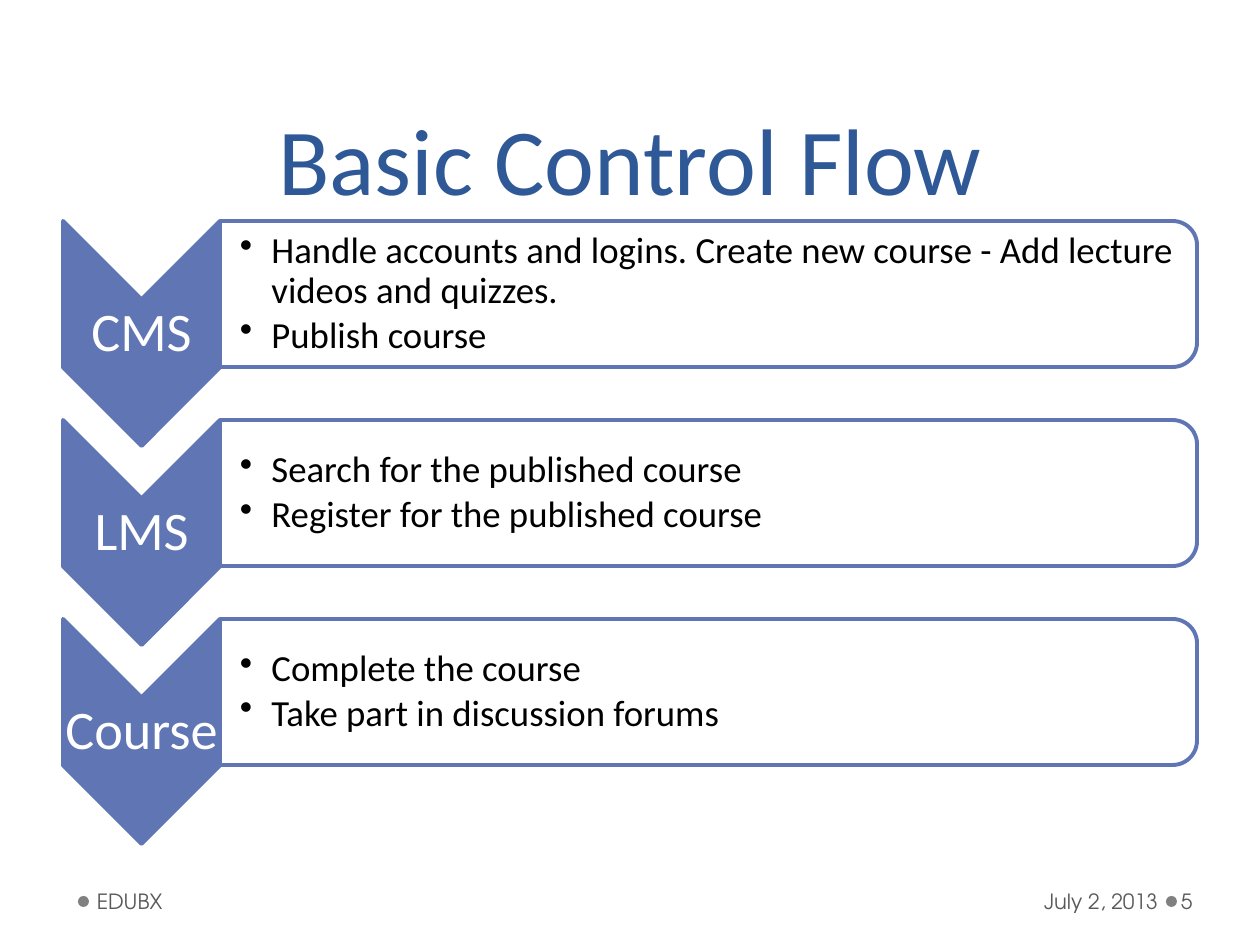
from dataclasses import dataclass
from lxml import etree
from pptx import Presentation
from pptx.dml.color import RGBColor
from pptx.enum.shapes import MSO_SHAPE
from pptx.enum.text import MSO_ANCHOR, PP_ALIGN
from pptx.oxml.ns import qn
from pptx.util import Emu, Pt

CHEVRON, PANEL, DOT = MSO_SHAPE.CHEVRON, MSO_SHAPE.ROUND_2_SAME_RECTANGLE, MSO_SHAPE.OVAL
LEFT, CENTER, RIGHT = PP_ALIGN.LEFT, PP_ALIGN.CENTER, PP_ALIGN.RIGHT
MIDDLE, BOTTOM = MSO_ANCHOR.MIDDLE, MSO_ANCHOR.BOTTOM

TITLE = "Basic Control Flow"
STAGES = [
    ("CMS", ["Handle accounts and logins. Create new course - Add lecture videos and quizzes.",
             "Publish course"]),
    ("LMS", ["Search for the published course", "Register for the published course"]),
    ("Course", ["Complete the course", "Take part in discussion forums"]),
]
FOOTERS = [
    ("July 2, 2013", (877, 876, 287, 50), RIGHT, (13, 6, 6, 6)),
    ("EDUBX", (91, 876, 392, 50), LEFT, (6, 6, 13, 6)),
    ("5", (1177, 876, 77, 50), LEFT, (4, 6, 6, 6)),
]
DOT_LEFTS = [1166, 78]
FIRST_TOP, STAGE_PITCH = 221, 199


@dataclass(frozen=True)
class Theme:
    accent: str = "6076B4"
    title: str = "2F5897"
    white: str = "FFFFFF"
    body: str = "000000"
    footer: str = "595959"
    dot: str = "808080"
    font: str = "Calibri"
    footer_font: str = "TeX Gyre Adventor"
    title_size: int = 54
    label_size: int = 31
    body_size: int = 21
    footer_size: int = 12
    line_width: float = 2.25


THEME = Theme()


def px(length):
    return Emu(round(length * 914400 / 126))


def set_values(target, values):
    for name, value in values.items():
        setattr(target, name, value)


def add_text(slide, lines, box, font, size, color, anchor=MIDDLE,
             insets=(13, 6, 13, 6), bulleted=False, **paragraph_format):
    frame = slide.shapes.add_textbox(*map(px, box)).text_frame
    sides = ("margin_left", "margin_top", "margin_right", "margin_bottom")
    set_values(frame, {"word_wrap": True, "vertical_anchor": anchor,
                       **dict(zip(sides, map(px, insets)))})
    for index, line in enumerate(lines):
        paragraph = frame.add_paragraph() if index else frame.paragraphs[0]
        set_values(paragraph, paragraph_format)
        run = paragraph.add_run()
        run.text = line
        set_values(run.font, {"name": font, "size": Pt(size)})
        run.font.color.rgb = RGBColor.from_string(color)
        if bulleted:
            properties = paragraph._p.get_or_add_pPr()
            properties.set("marL", str(px(31.5)))
            properties.set("indent", str(-px(31.5)))
            etree.SubElement(properties, qn("a:buChar")).set("char", "•")


def add_shape(slide, kind, box, fill, line=None, turned=False, opacity=None):
    left, top, width, height = box
    if turned:
        left, top = left + (width - height) / 2, top + (height - width) / 2
        width, height = height, width
    shape = slide.shapes.add_shape(kind, *map(px, (left, top, width, height)))
    shape.shadow.inherit = False
    shape.rotation = 90 if turned else 0
    shape.fill.solid()
    shape.fill.fore_color.rgb = RGBColor.from_string(fill)
    if opacity:
        color = shape._element.spPr.find(qn("a:solidFill"))[0]
        etree.SubElement(color, qn("a:alpha")).set("val", str(opacity * 1000))
    if line:
        shape.line.color.rgb = RGBColor.from_string(line)
        shape.line.width = Pt(THEME.line_width)
    else:
        shape.line.fill.background()


def add_stage(slide, top, label, points):
    add_shape(slide, CHEVRON, (63, top, 157, 225), THEME.accent, THEME.accent, turned=True)
    add_text(slide, [label], (63, top + 79, 157, 68), THEME.font, THEME.label_size,
             THEME.white, insets=(2, 2, 2, 2), alignment=CENTER, line_spacing=0.9)
    add_shape(slide, PANEL, (220, top, 977, 146), THEME.white, THEME.accent,
              turned=True, opacity=90)
    add_text(slide, points, (220, top + 7, 969, 132), THEME.font, THEME.body_size,
             THEME.body, insets=(20, 1, 1, 1), bulleted=True,
             line_spacing=0.9, space_after=Pt(3))


def main():
    presentation = Presentation()
    set_values(presentation, {"slide_width": px(1260), "slide_height": px(945)})
    slide = presentation.slides.add_slide(presentation.slide_layouts[6])
    for left in DOT_LEFTS:
        add_shape(slide, DOT, (left, 896, 11, 11), THEME.dot)
    add_text(slide, [TITLE], (63, 0, 1134, 220), THEME.font, THEME.title_size,
             THEME.title, anchor=BOTTOM, alignment=CENTER, line_spacing=Pt(58))
    for index, (label, points) in enumerate(STAGES):
        add_stage(slide, FIRST_TOP + index * STAGE_PITCH, label, points)
    for text, box, alignment, insets in FOOTERS:
        add_text(slide, [text], box, THEME.footer_font, THEME.footer_size,
                 THEME.footer, insets=insets, alignment=alignment)
    presentation.save("out.pptx")


if __name__ == "__main__":
    main()
